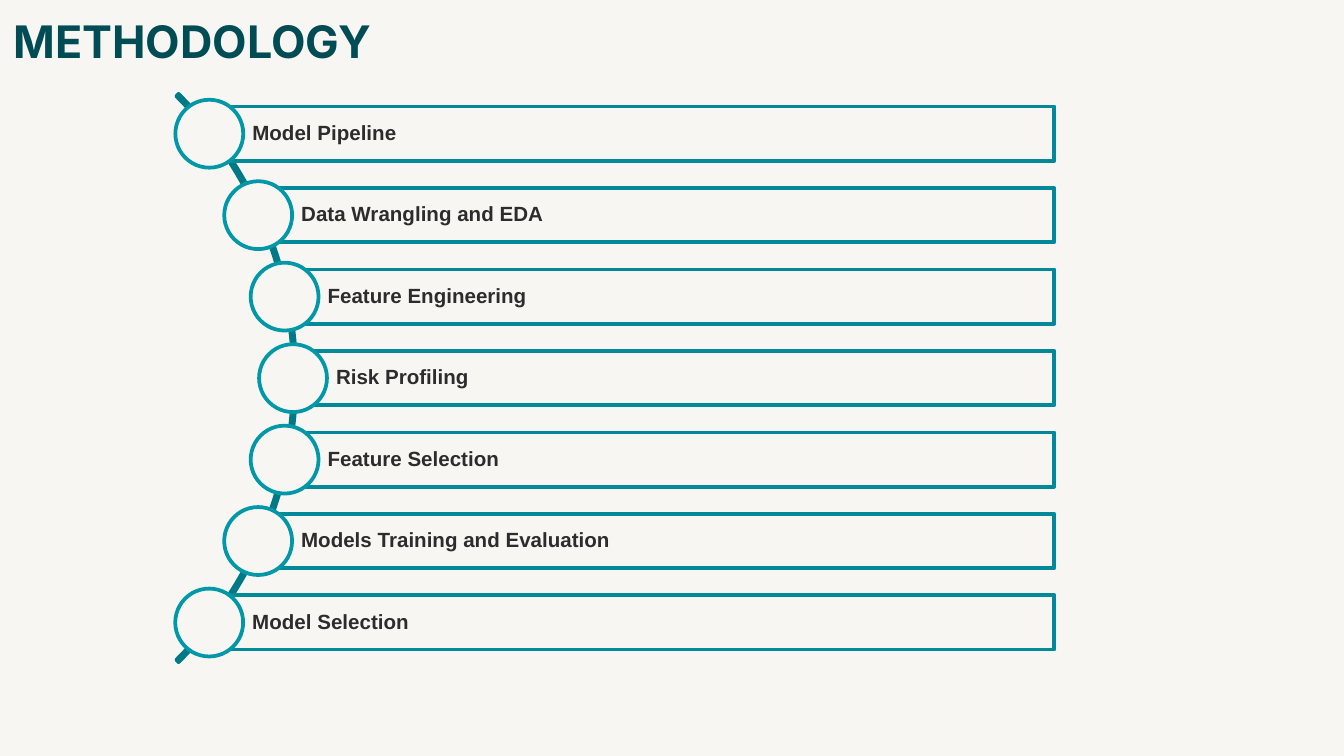
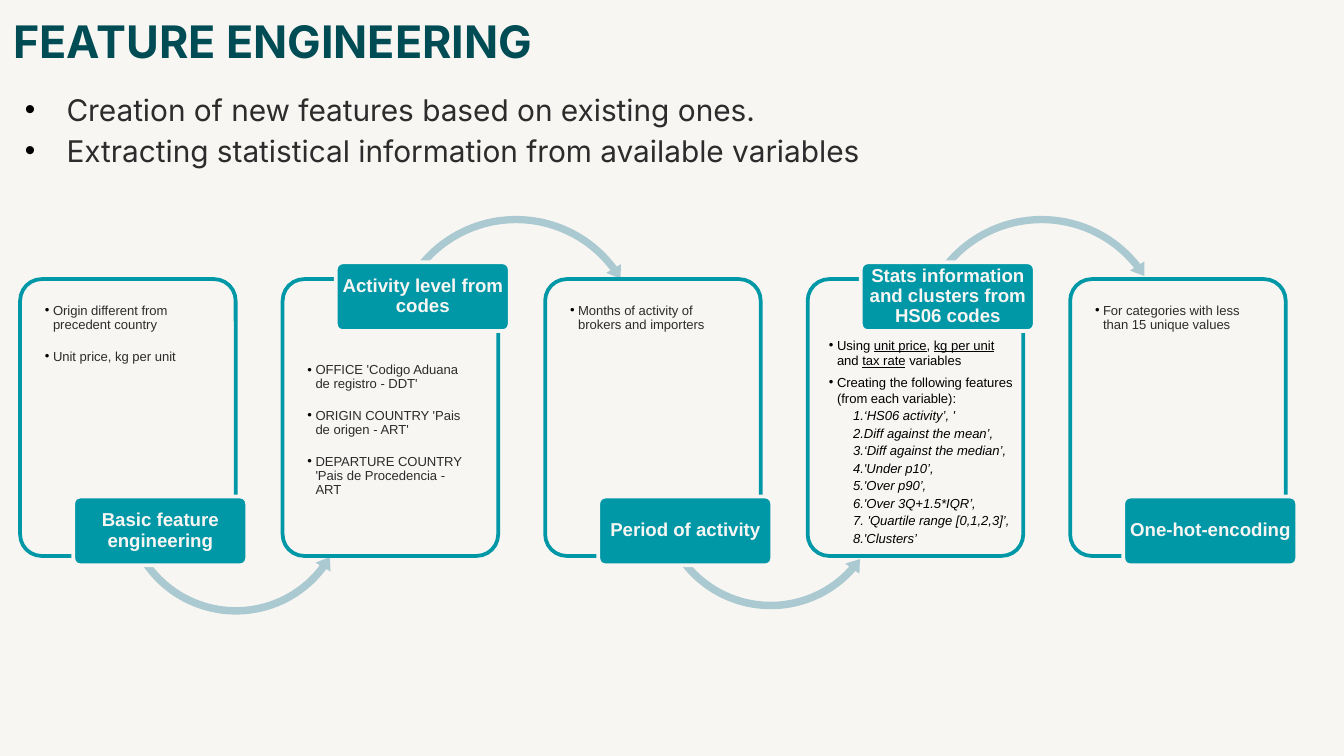
import math
from dataclasses import dataclass, field
from typing import Optional

import lxml.etree
import pptx
import pptx.dml.color
import pptx.enum.shapes
import pptx.enum.text
import pptx.oxml.ns
import pptx.util

Preset = pptx.enum.shapes.MSO_SHAPE
Align = pptx.enum.text.PP_ALIGN
Anchor = pptx.enum.text.MSO_ANCHOR
qn = pptx.oxml.ns.qn

WIDTH = pptx.util.Inches(10)
HEIGHT = WIDTH * 9 // 16
CELL = WIDTH / 100  # square grid, 100 columns wide
TITLE_ONLY = 5


@dataclass(frozen=True)
class TextStyle:
    size: float
    color: str
    font: str = "Arial"
    bold: bool = False
    italic: bool = False


@dataclass(frozen=True)
class Theme:
    paper: str = "F8F6F3"
    teal: str = "0097A7"
    bar_line: str = "008998"
    spine: str = "007986"
    arrow: str = "ABC9D0"
    bullet: str = "000000"
    line_width: float = 2
    title: TextStyle = TextStyle(24, "004C54", "Inter", bold=True)
    lead: TextStyle = TextStyle(16, "2C2C2C", "Inter")
    step: TextStyle = TextStyle(11, "2C2C2C", bold=True)
    label: TextStyle = TextStyle(10, "F8F6F3", bold=True)
    detail: TextStyle = TextStyle(7, "2C2C2C")
    note: TextStyle = TextStyle(7, "000000")
    feature: TextStyle = TextStyle(7, "000000", italic=True)


THEME = Theme()


@dataclass(frozen=True)
class Box:
    """A rectangle in grid cells."""
    left: float
    top: float
    width: float
    height: float

    def emu(self) -> list[int]:
        return [cells(n) for n in (self.left, self.top, self.width, self.height)]


@dataclass(frozen=True)
class Line:
    """One paragraph; parts between bars are underlined in turn."""
    text: str
    style: TextStyle
    align: Align = Align.LEFT
    spacing: float = 1.0
    after: float = 0
    margin: float = 0
    indent: float = 0
    bullet: str = ""
    numbered: bool = False


@dataclass(frozen=True)
class CurvedArrow:
    left: float
    top: float
    rotation: float


@dataclass(frozen=True)
class Stage:
    label: str
    details: list[str] = field(default_factory=list)
    arrow: Optional[CurvedArrow] = None


STEPS = [
    "Model Pipeline",
    "Data Wrangling and EDA",
    "Feature Engineering",
    "Risk Profiling",
    "Feature Selection",
    "Models Training and Evaluation",
    "Model Selection",
]

LEADS = [
    "Creation of new features based on existing ones.",
    "Extracting statistical information from available variables",
]

STAGES = [
    Stage("Basic feature engineering",
          ["Origin different from precedent country", "Unit price, kg per unit"],
          CurvedArrow(8.8, 28.6, 10.4)),
    Stage("Activity level from codes",
          ["OFFICE 'Codigo Aduana de registro - DDT'",
           "ORIGIN COUNTRY 'Pais de origen - ART'",
           "DEPARTURE COUNTRY 'Pais de Procedencia - ART"],
          CurvedArrow(28.7, 15.7, 348)),
    Stage("Period of activity",
          ["Months of activity of brokers and importers"],
          CurvedArrow(48.6, 28.2, 15.1)),
    Stage("Stats information and clusters from HS06 codes",
          arrow=CurvedArrow(67.8, 15.7, 346.5)),
    Stage("One-hot-encoding", ["For categories with less than 15 unique values"]),
]

STATS_NOTES = [
    "Using |unit price|, |kg per unit| and |tax rate| variables",
    "Creating the following features (from each variable):",
]

STATS_FEATURES = [
    "‘HS06 activity’, '",
    "Diff against the mean’,",
    "‘Diff against the median’,",
    "'Under p10’,",
    "'Over p90’,",
    "'Over 3Q+1.5*IQR’,",
    " 'Quartile range [0,1,2,3]’,",
    "'Clusters’",
]


def cells(count: float) -> int:
    return round(count * CELL)


def rgb(color: str) -> pptx.dml.color.RGBColor:
    return pptx.dml.color.RGBColor.from_string(color)


def add_bullet(paragraph, line: Line) -> None:
    properties = paragraph._p.get_or_add_pPr()
    properties.set("marL", str(cells(line.margin)))
    properties.set("indent", str(cells(line.indent)))
    color = lxml.etree.SubElement(properties, qn("a:buClr"))
    lxml.etree.SubElement(color, qn("a:srgbClr"), val=THEME.bullet)
    lxml.etree.SubElement(properties, qn("a:buFont"), typeface="Arial")
    if line.numbered:
        lxml.etree.SubElement(properties, qn("a:buAutoNum"), type="arabicPeriod")
    else:
        lxml.etree.SubElement(properties, qn("a:buChar"), char=line.bullet)


def write(shape, lines: list[Line], margins: tuple[float, float, float, float],
          anchor: Anchor = Anchor.TOP) -> None:
    """Fill a shape with lines; margins are left, top, right, bottom in cells."""
    frame = shape.text_frame
    frame.word_wrap = True
    frame.vertical_anchor = anchor
    (frame.margin_left, frame.margin_top,
     frame.margin_right, frame.margin_bottom) = map(cells, margins)
    for index, line in enumerate(lines):
        paragraph = frame.add_paragraph() if index else frame.paragraphs[0]
        if line.bullet or line.numbered:
            add_bullet(paragraph, line)
        paragraph.alignment = line.align
        paragraph.line_spacing = line.spacing
        paragraph.space_before = pptx.util.Pt(0)
        paragraph.space_after = pptx.util.Pt(line.after)
        for part_index, part in enumerate(line.text.split("|")):
            run = paragraph.add_run()
            run.text = part
            run.font.name = line.style.font
            run.font.size = pptx.util.Pt(line.style.size)
            run.font.bold = line.style.bold
            run.font.italic = line.style.italic
            run.font.underline = part_index % 2 == 1
            run.font.color.rgb = rgb(line.style.color)


def add_figure(slide, preset: Preset, box: Box, fill: str = "", outline: str = "",
               adjustments: tuple[float, ...] = ()):
    figure = slide.shapes.add_shape(preset, *box.emu())
    figure.shadow.inherit = False
    for index, value in enumerate(adjustments):
        figure.adjustments[index] = value
    if fill:
        figure.fill.solid()
        figure.fill.fore_color.rgb = rgb(fill)
    else:
        figure.fill.background()
    if outline:
        figure.line.color.rgb = rgb(outline)
        figure.line.width = pptx.util.Pt(THEME.line_width)
    else:
        figure.line.fill.background()
    return figure


def set_opacity(figure, percent: int) -> None:
    color = figure._element.spPr.find(qn("a:solidFill"))[0]
    lxml.etree.SubElement(color, qn("a:alpha"), val=str(percent * 1000))


def angle(degrees: float) -> float:
    """Adjustment value of an angle: 60000ths of a degree over 100000."""
    return degrees * 0.6


def add_titled_slide(deck, title: str):
    slide = deck.slides.add_slide(deck.slide_layouts[TITLE_ONLY])
    heading = slide.shapes.title
    heading.left, heading.top, heading.width, heading.height = Box(0, 0, 93.2, 6.3).emu()
    write(heading, [Line(title, THEME.title)], (1, 1, 1, 1))
    return slide


def build_methodology(deck) -> None:
    slide = add_titled_slide(deck, "METHODOLOGY")
    diameter, center_x, center_y, radius = 59.8, -7.85, 28.13, 29.65
    first_top, last_top, bar_height, bar_right, knob = 7.93, 44.3, 4.04, 78.45, 5.05
    pitch = (last_top - first_top) / (len(STEPS) - 1)

    add_figure(slide, Preset.BLOCK_ARC,
               Box(center_x - diameter / 2, center_y - diameter / 2, diameter, diameter),
               outline=THEME.spine, adjustments=(angle(315), angle(45), 0.4 / 100))
    for index, step in enumerate(STEPS):
        top = first_top + index * pitch
        middle = top + bar_height / 2
        left = center_x + math.sqrt(radius ** 2 - (middle - center_y) ** 2)
        bar = add_figure(slide, Preset.RECTANGLE, Box(left, top, bar_right - left, bar_height),
                         THEME.paper, THEME.bar_line)
        write(bar, [Line(step, THEME.step, spacing=0.9)], (3.2, 0.3, 0.3, 0.3), Anchor.MIDDLE)
        add_figure(slide, Preset.OVAL, Box(left - knob / 2, middle - knob / 2, knob, knob),
                   THEME.paper, THEME.teal)


def add_curved_arrow(slide, arrow: CurvedArrow, over: bool) -> None:
    if over:
        preset, size = Preset.CIRCULAR_ARROW, 19.4
        shape = (2.8 / 100, angle(5.78), angle(335.26), angle(220.22), 3.3 / 100)
    else:
        preset, size = Preset.LEFT_CIRCULAR_ARROW, 17.5
        shape = (3.2 / 100, angle(6.47), angle(26.38), angle(140.73), 3.7 / 100)
    figure = add_figure(slide, preset, Box(arrow.left, arrow.top, size, size),
                        THEME.arrow, adjustments=shape)
    figure.rotation = arrow.rotation


def add_stage(slide, stage: Stage, left: float, label_on_top: bool) -> None:
    card = add_figure(slide, Preset.ROUNDED_RECTANGLE, Box(left, 20.77, 16.04, 20.6),
                      THEME.paper, THEME.teal, (0.1,))
    set_opacity(card, 90)
    if stage.details:
        details = [Line(text, THEME.detail, spacing=0.9, after=9.5, margin=0.6,
                        indent=-0.6, bullet="•") for text in stage.details]
        write(card, details, (1.38, 5.8 if label_on_top else 1.38, 1.38, 1.38))
    if stage.arrow:
        add_curved_arrow(slide, stage.arrow, label_on_top)
    label = add_figure(slide, Preset.ROUNDED_RECTANGLE,
                       Box(left + 3.95, 19.52 if label_on_top else 36.95, 12.94, 5.12),
                       THEME.teal, THEME.paper, (0.1,))
    write(label, [Line(stage.label, THEME.label, Align.CENTER, 0.9)],
          (0.2, 0.1, 0.2, 0.1), Anchor.MIDDLE)


def build_feature_engineering(deck) -> None:
    slide = add_titled_slide(deck, "FEATURE ENGINEERING")
    box_margins = (1, 0.5, 1, 0.5)
    lead = slide.shapes.add_textbox(*Box(0.87, 5.95, 97.7, 6.9).emu())
    write(lead, [Line(text, THEME.lead, spacing=1.14, margin=3.1, indent=-3.1, bullet="•")
                 for text in LEADS], box_margins)

    first_left, last_left = 1.5, 79.63
    pitch = (last_left - first_left) / (len(STAGES) - 1)
    for index, stage in enumerate(STAGES):
        add_stage(slide, stage, first_left + index * pitch, index % 2 == 1)

    notes = [Line(text, THEME.note, after=after, margin=0.6, indent=-0.6, bullet="•")
             for text, after in zip(STATS_NOTES, (3.2, 1))]
    features = [Line(text, THEME.feature, after=1, margin=0.6, indent=1.2, numbered=True)
                for text in STATS_FEATURES]
    stats = slide.shapes.add_textbox(*Box(60.7, 24.6, 16, 19.5).emu())
    write(stats, notes + features, box_margins)


def main() -> None:
    deck = pptx.Presentation()
    deck.slide_width, deck.slide_height = WIDTH, HEIGHT
    backdrop = deck.slide_master.background.fill
    backdrop.solid()
    backdrop.fore_color.rgb = rgb(THEME.paper)
    build_methodology(deck)
    build_feature_engineering(deck)
    deck.save("out.pptx")


if __name__ == "__main__":
    main()
